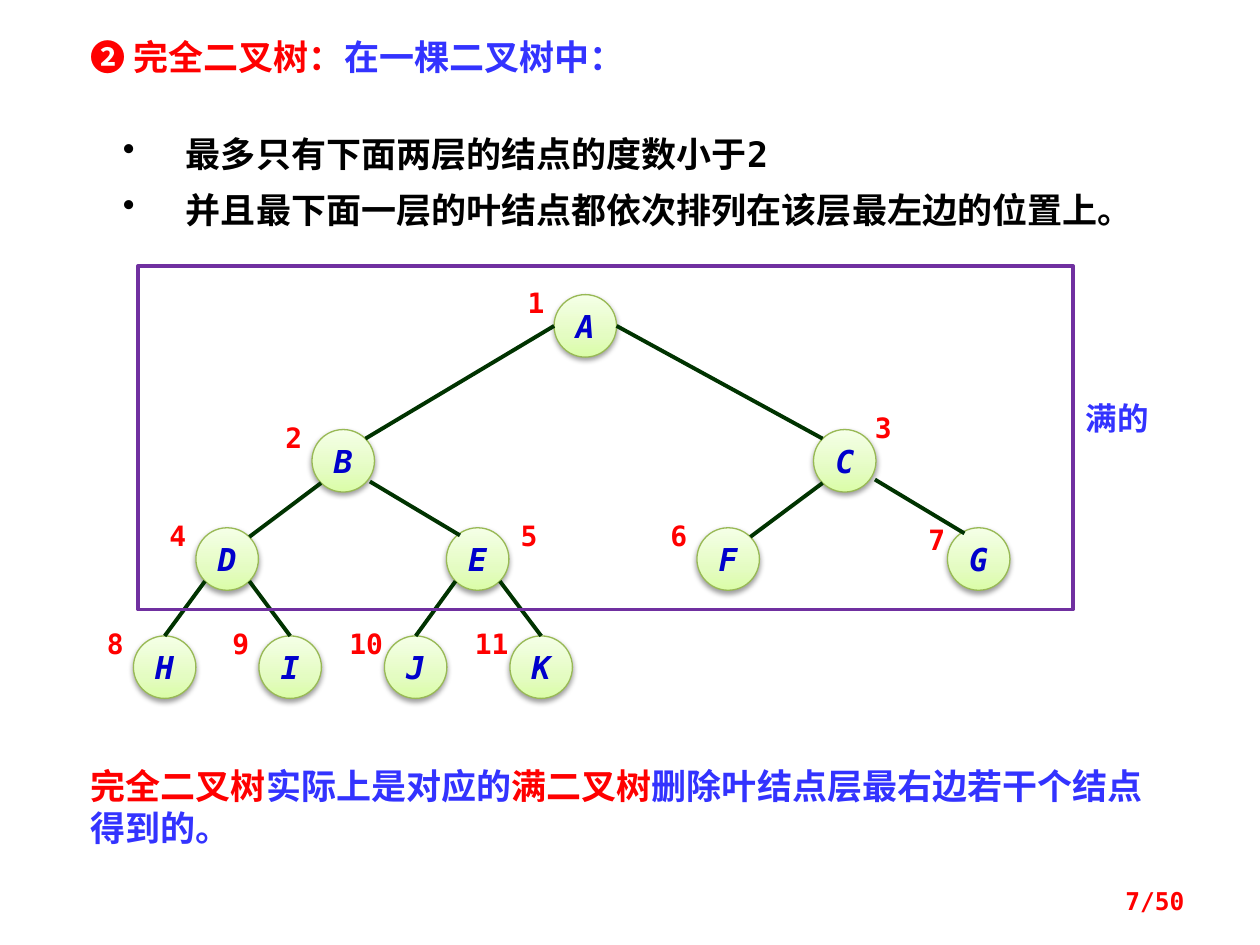
import lxml.etree
import pptx
import pptx.dml.color
import pptx.enum.shapes
import pptx.enum.text
import pptx.oxml
import pptx.oxml.ns
import pptx.util

Cm = pptx.util.Cm
Pt = pptx.util.Pt
ALIGN = pptx.enum.text.PP_ALIGN
ANCHOR = pptx.enum.text.MSO_ANCHOR
AUTO_SIZE = pptx.enum.text.MSO_AUTO_SIZE
SHAPE = pptx.enum.shapes.MSO_SHAPE

MONO = "DejaVu Sans Mono"
CJK = "Noto Sans CJK SC"
COLORS = {
    "red": "FF0000", "blue": "3333FF", "black": "000000", "white": "FFFFFF",
    "letter": "0000CC", "edge": "003300", "frame": "7030A0", "node_line": "98B955",
}
NODE_GRADIENT = [(0, "DAFDA7"), (35, "E4FCC2"), (100, "F5FFE7")]

TITLE = [("❷ ", "red", MONO), ("完全二叉树：", "red", "Noto Sans CJK JP"),
         ("在一棵二叉树中：", "blue", MONO)]
BULLETS = ["最多只有下面两层的结点的度数小于2",
           "并且最下面一层的叶结点都依次排列在该层最左边的位置上。"]
CONCLUSION = [("完全二叉树", "red", CJK), ("实际上是对应的", "blue", CJK),
              ("满二叉树", "red", CJK), ("删除叶结点层最右边若干个结点得到的。", "blue", CJK)]

LEVELS = [("A", 11.17, 5.94, 0), ("BC", 6.29, 8.66, 10.11),
          ("DEFG", 3.95, 10.64, 5.05), ("HIJK", 2.69, 12.82, 2.53)]
DIAMETER = 1.26
RADIUS = DIAMETER / 2
DIAGONAL = RADIUS * 0.71
LABEL_OFFSET = (-0.91, -0.18)
LABEL_EXCEPTIONS = {3: (0.86, -0.38), 5: (1.12, -0.18), 7: (-0.76, -0.1)}
EDGE_SHIFTS = {5: (0.09, -0.03), 7: (0.16, -0.07)}


def rgb(name):
    return pptx.dml.color.RGBColor.from_string(COLORS[name])


def format_run(run, size, color, font=MONO, bold=True, italic=False):
    run.font.size = Pt(size)
    run.font.bold = bold
    run.font.italic = italic
    run.font.name = font
    run.font.color.rgb = rgb(color)
    east_asian = lxml.etree.SubElement(run.font._element, pptx.oxml.ns.qn("a:ea"))
    east_asian.set("typeface", CJK if font == MONO else font)


def set_frame(shape, insets=(0.25, 0.13, 0.25, 0.13), anchor=ANCHOR.TOP):
    frame = shape.text_frame
    frame.word_wrap = True
    frame.vertical_anchor = anchor
    frame.margin_left, frame.margin_top, frame.margin_right, frame.margin_bottom = map(Cm, insets)
    return frame


def add_text(slide, box, runs, size, align=ALIGN.LEFT, grow=True, **frame_options):
    shape = slide.shapes.add_textbox(*map(Cm, box))
    frame = set_frame(shape, **frame_options)
    frame.auto_size = AUTO_SIZE.SHAPE_TO_FIT_TEXT if grow else AUTO_SIZE.NONE
    paragraph = frame.paragraphs[0]
    paragraph.alignment = align
    for text, color, font in runs:
        run = paragraph.add_run()
        run.text = text
        format_run(run, size, color, font)


def add_bullets(slide):
    shape = slide.shapes.add_shape(SHAPE.RECTANGLE, Cm(1.98), Cm(2.18), Cm(21.82), Cm(2.69))
    shape.shadow.inherit = False
    shape.fill.solid()
    shape.fill.fore_color.rgb = rgb("white")
    shape.line.fill.background()
    frame = set_frame(shape, insets=(0.5, 0.2, 0.25, 0.2))
    frame.text = "\n".join(BULLETS)
    for paragraph in frame.paragraphs:
        properties = paragraph._p.get_or_add_pPr()
        properties.set("marL", str(Cm(1.27)))
        properties.set("indent", str(-Cm(1.27)))
        bullet = lxml.etree.SubElement(properties, pptx.oxml.ns.qn("a:buChar"))
        bullet.set("char", "•")
        paragraph.alignment = ALIGN.LEFT
        paragraph.line_spacing = Pt(32)
        format_run(paragraph.runs[0], 20, "black")
    bullet_color = rgb("black")
    for paragraph in frame.paragraphs:
        paragraph.font.color.rgb = bullet_color


def style_node(shape):
    namespace = pptx.oxml.ns.nsdecls("a")
    stops = "".join(f'<a:gs pos="{position * 1000}"><a:srgbClr val="{color}"/></a:gs>'
                    for position, color in NODE_GRADIENT)
    gradient = pptx.oxml.parse_xml(
        f'<a:gradFill {namespace} rotWithShape="1"><a:gsLst>{stops}</a:gsLst>'
        '<a:lin ang="16200000" scaled="0"/></a:gradFill>')
    shadow = pptx.oxml.parse_xml(
        f'<a:effectLst {namespace}><a:outerShdw blurRad="{Pt(3.1)}" dist="{Pt(1.6)}" '
        'dir="5400000" rotWithShape="0"><a:srgbClr val="000000"><a:alpha val="38000"/>'
        '</a:srgbClr></a:outerShdw></a:effectLst>')
    shape.line.color.rgb = rgb("node_line")
    shape.line.width = Pt(0.75)
    properties = shape._element.spPr
    properties.find(pptx.oxml.ns.qn("a:prstGeom")).addnext(gradient)
    properties.append(shadow)


def add_node(slide, number, letter, left, top):
    shape = slide.shapes.add_shape(SHAPE.OVAL, Cm(left), Cm(top), Cm(DIAMETER), Cm(DIAMETER))
    style_node(shape)
    frame = set_frame(shape, insets=(0, 0, 0, 0), anchor=ANCHOR.MIDDLE)
    frame.text = letter
    frame.paragraphs[0].alignment = ALIGN.CENTER
    format_run(frame.paragraphs[0].runs[0], 18, "letter", italic=True)
    across, down = LABEL_EXCEPTIONS.get(number, LABEL_OFFSET)
    add_text(slide, (left + across, top + down, 1.09, 0.69), [(str(number), "red", MONO)],
             16, ALIGN.CENTER, insets=(0, 0, 0, 0))


def add_edge(slide, number, centers):
    parent_x, parent_y = centers[number // 2]
    child_x, child_y = centers[number]
    side = 1 if number % 2 else -1
    shift_x, shift_y = EDGE_SHIFTS.get(number, (0, 0))
    if number < 4:
        start = (parent_x + side * RADIUS, parent_y)
    else:
        start = (parent_x + side * DIAGONAL + shift_x, parent_y + DIAGONAL + shift_y)
    if number < 8:
        end = (child_x - side * DIAGONAL + shift_x, child_y - DIAGONAL + shift_y)
    else:
        end = (child_x, child_y - RADIUS)
    edge = slide.shapes.add_connector(
        pptx.enum.shapes.MSO_CONNECTOR.STRAIGHT, *map(Cm, start + end))
    edge.line.color.rgb = rgb("edge")
    edge.line.width = Pt(2.25)
    lxml.etree.SubElement(edge._element.spPr, pptx.oxml.ns.qn("a:effectLst"))


def add_tree(slide):
    centers = {}
    for letters, first_left, top, gap in LEVELS:
        for index, letter in enumerate(letters):
            number = len(centers) + 1
            left = first_left + index * gap
            centers[number] = (left + RADIUS, top + RADIUS)
            add_node(slide, number, letter, left, top)
    for number in range(2, len(centers) + 1):
        add_edge(slide, number, centers)


def add_full_part(slide):
    frame = slide.shapes.add_shape(SHAPE.RECTANGLE, Cm(2.78), Cm(5.36), Cm(18.85), Cm(6.93))
    frame.shadow.inherit = False
    frame.fill.background()
    frame.line.color.rgb = rgb("frame")
    frame.line.width = Pt(2)
    add_text(slide, (21.64, 7.92, 2.18, 1.02), [("满的", "blue", MONO)], 18)


def main():
    presentation = pptx.Presentation()
    presentation.slide_width = Cm(25.4)
    presentation.slide_height = Cm(19.05)
    slide = presentation.slides.add_slide(presentation.slide_layouts[6])
    add_text(slide, (1.58, 0.58, 16.08, 1.11), TITLE, 20)
    add_bullets(slide)
    add_tree(slide)
    add_text(slide, (1.58, 15.29, 22.02, 1.97), CONCLUSION, 20)
    add_full_part(slide)
    add_text(slide, (18.21, 17.65, 5.92, 1.02), [("7/50", "red", MONO)], 14, ALIGN.RIGHT,
             grow=False, anchor=ANCHOR.MIDDLE)
    presentation.save("out.pptx")


if __name__ == "__main__":
    main()
